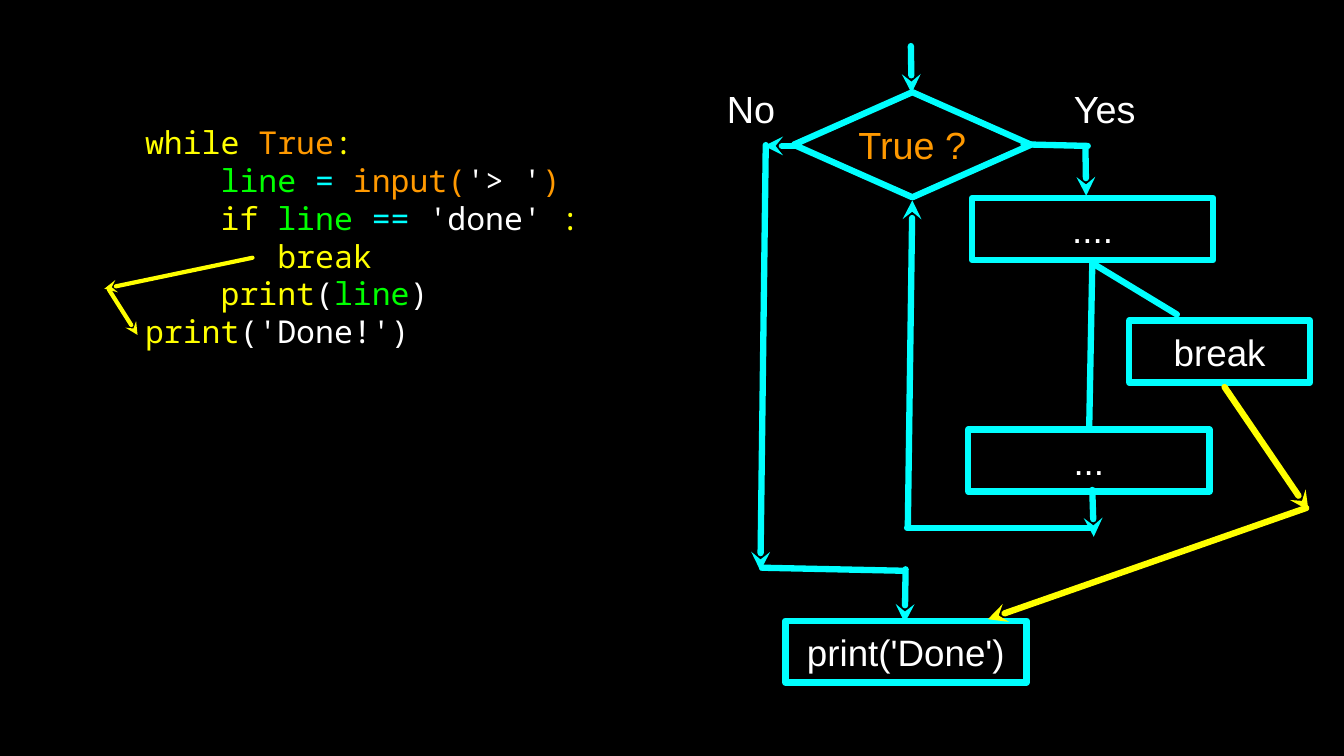
from typing import NamedTuple

from lxml.etree import SubElement
from pptx import Presentation
from pptx.dml.color import RGBColor
from pptx.enum.shapes import MSO_CONNECTOR, MSO_SHAPE
from pptx.enum.text import MSO_ANCHOR, PP_ALIGN
from pptx.oxml.ns import qn
from pptx.util import Pt

COLORS = {
    "black": "000000",
    "white": "FFFFFF",
    "cyan": "00FFFF",
    "yellow": "FFFF00",
    "green": "00FF00",
    "orange": "FF9900",
}
CODE_FONT = "Noto Sans Mono"
CODE_SIZE = 30
CHARACTER_WIDTH = 18
LINE_HEIGHT = 36


class Node(NamedTuple):
    text: str
    left: float
    top: float
    width: float = 229.7
    height: float = 59
    geometry: MSO_SHAPE = MSO_SHAPE.RECTANGLE
    color: str = "white"
    size: float = 35


class Label(NamedTuple):
    text: str
    left: float
    top: float
    width: float
    height: float = 41


class Link(NamedTuple):
    start: tuple[float, float]
    end: tuple[float, float]
    arrow: bool = True
    color: str = "cyan"
    width: float = 6


class CodeLine(NamedTuple):
    indent: int
    tokens: list[tuple[str, str]]


NODES = [
    Node("True ?", 756, 87.8, 226.1, 100.1, MSO_SHAPE.DIAMOND, "orange", 36),
    Node("....", 925.9, 188.6),
    Node("break", 1075.7, 305.3, width=172.1),
    Node("...", 922.3, 409),
    Node("print('Done')", 748.1, 591.1),
]

LABELS = [
    Label("No", 686.9, 82.8, 56.9),
    Label("Yes", 1010.9, 82.8, 82.8),
]

LINKS = [
    Link((867.6, 43.9), (868.3, 88.6)),
    Link((759.6, 139), (727.9, 139)),
    Link((729.4, 138.2), (724.3, 543.6)),
    Link((725.8, 540.7), (861.1, 543.6), arrow=False),
    Link((862.6, 542.2), (861.8, 593.3)),
    Link((974.9, 137.5), (1036.1, 139), arrow=False),
    Link((1033.9, 141.8), (1034.6, 186.5)),
    Link((1040.4, 251.3), (1037.5, 406.1), arrow=False),
    Link((1040.4, 250.6), (1121, 299.5), arrow=False),
    Link((1040.4, 466.6), (1041.8, 511.2)),
    Link((1039, 502.6), (864, 502.6), arrow=False),
    Link((864.7, 502.6), (869, 190.8)),
    Link((1166.4, 368.6), (1246.3, 486), color="yellow"),
    Link((1244.2, 483.8), (941, 589.7), color="yellow"),
    Link((240.5, 245.5), (99.4, 275), color="yellow", width=4),
    Link((103.7, 275.8), (131, 319), color="yellow", width=4),
]

CODE = [
    CodeLine(0, [("while ", "yellow"), ("True", "orange"), (":", "yellow")]),
    CodeLine(4, [("line ", "green"), ("= ", "cyan"), ("input(", "orange"),
                 ("'> '", "white"), (")", "orange")]),
    CodeLine(4, [("if ", "yellow"), ("line ", "green"), ("==", "cyan"),
                 (" 'done'", "white"), (" :", "yellow")]),
    CodeLine(7, [("break", "yellow")]),
    CodeLine(4, [("print", "yellow"), ("(", "white"), ("line", "green"), (")", "white")]),
    CodeLine(0, [("print", "yellow"), ("('Done!')", "white")]),
]


def rgb(name: str) -> RGBColor:
    return RGBColor.from_string(COLORS[name])


def add_text(paragraph, text: str, *, color: str = "white", size: float = 36,
             font: str = "Arial") -> None:
    run = paragraph.add_run()
    run.text = text
    run.font.name = font
    run.font.size = Pt(size)
    run.font.color.rgb = rgb(color)


def prepare_frame(shape, wrap: bool = False):
    frame = shape.text_frame
    frame.margin_left = frame.margin_right = frame.margin_top = frame.margin_bottom = 0
    frame.vertical_anchor = MSO_ANCHOR.MIDDLE
    frame.word_wrap = wrap
    return frame


def center_text(shape, text: str, color: str, size: float) -> None:
    paragraph = prepare_frame(shape).paragraphs[0]
    paragraph.alignment = PP_ALIGN.CENTER
    add_text(paragraph, text, color=color, size=size)


def draw_node(slide, node: Node) -> None:
    shape = slide.shapes.add_shape(
        node.geometry, Pt(node.left), Pt(node.top), Pt(node.width), Pt(node.height))
    shape.shadow.inherit = False
    shape.fill.background()
    shape.line.color.rgb = rgb("cyan")
    shape.line.width = Pt(6)
    SubElement(shape.line._get_or_add_ln(), qn("a:round"))
    center_text(shape, node.text, node.color, node.size)


def draw_label(slide, label: Label) -> None:
    shape = slide.shapes.add_textbox(
        Pt(label.left), Pt(label.top), Pt(label.width), Pt(label.height))
    center_text(shape, label.text, "white", 36)


def draw_link(slide, link: Link) -> None:
    connector = slide.shapes.add_connector(
        MSO_CONNECTOR.STRAIGHT, *(Pt(value) for value in link.start + link.end))
    connector.line.color.rgb = rgb(link.color)
    connector.line.width = Pt(link.width)
    line = connector.line._get_or_add_ln()
    line.set("cap", "rnd")
    SubElement(line, qn("a:round"))
    if link.arrow:
        SubElement(line, qn("a:tailEnd"), type="stealth")
    SubElement(connector._element.spPr, qn("a:effectLst"))


def draw_code(slide, lines: list[CodeLine]) -> None:
    shape = slide.shapes.add_textbox(
        Pt(138.2), Pt(117.4), Pt(516.2), Pt(LINE_HEIGHT * len(lines)))
    frame = prepare_frame(shape, wrap=True)
    for index, line in enumerate(lines):
        paragraph = frame.add_paragraph() if index else frame.paragraphs[0]
        paragraph.line_spacing = Pt(LINE_HEIGHT)
        properties = paragraph._p.get_or_add_pPr()
        properties.set("marL", str(Pt(line.indent * CHARACTER_WIDTH)))
        properties.set("indent", "0")
        for text, color in line.tokens:
            add_text(paragraph, text, color=color, size=CODE_SIZE, font=CODE_FONT)


def main() -> None:
    presentation = Presentation()
    presentation.slide_width = Pt(1280.16)
    presentation.slide_height = Pt(720)
    slide = presentation.slides.add_slide(presentation.slide_layouts[6])
    slide.background.fill.solid()
    slide.background.fill.fore_color.rgb = rgb("black")
    for node in NODES:
        draw_node(slide, node)
    for label in LABELS:
        draw_label(slide, label)
    draw_code(slide, CODE)
    for link in LINKS:
        draw_link(slide, link)
    presentation.save("out.pptx")


if __name__ == "__main__":
    main()
